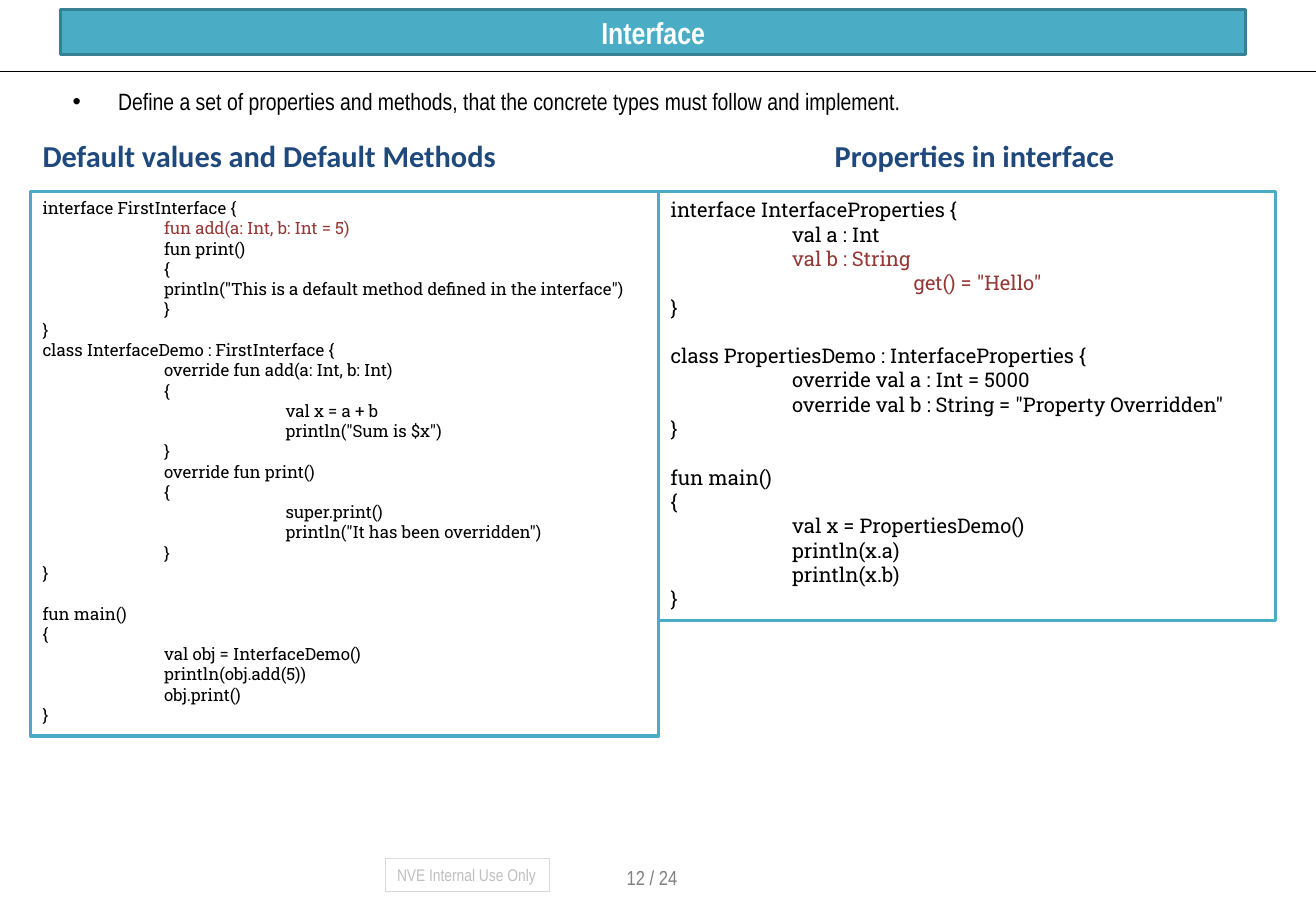
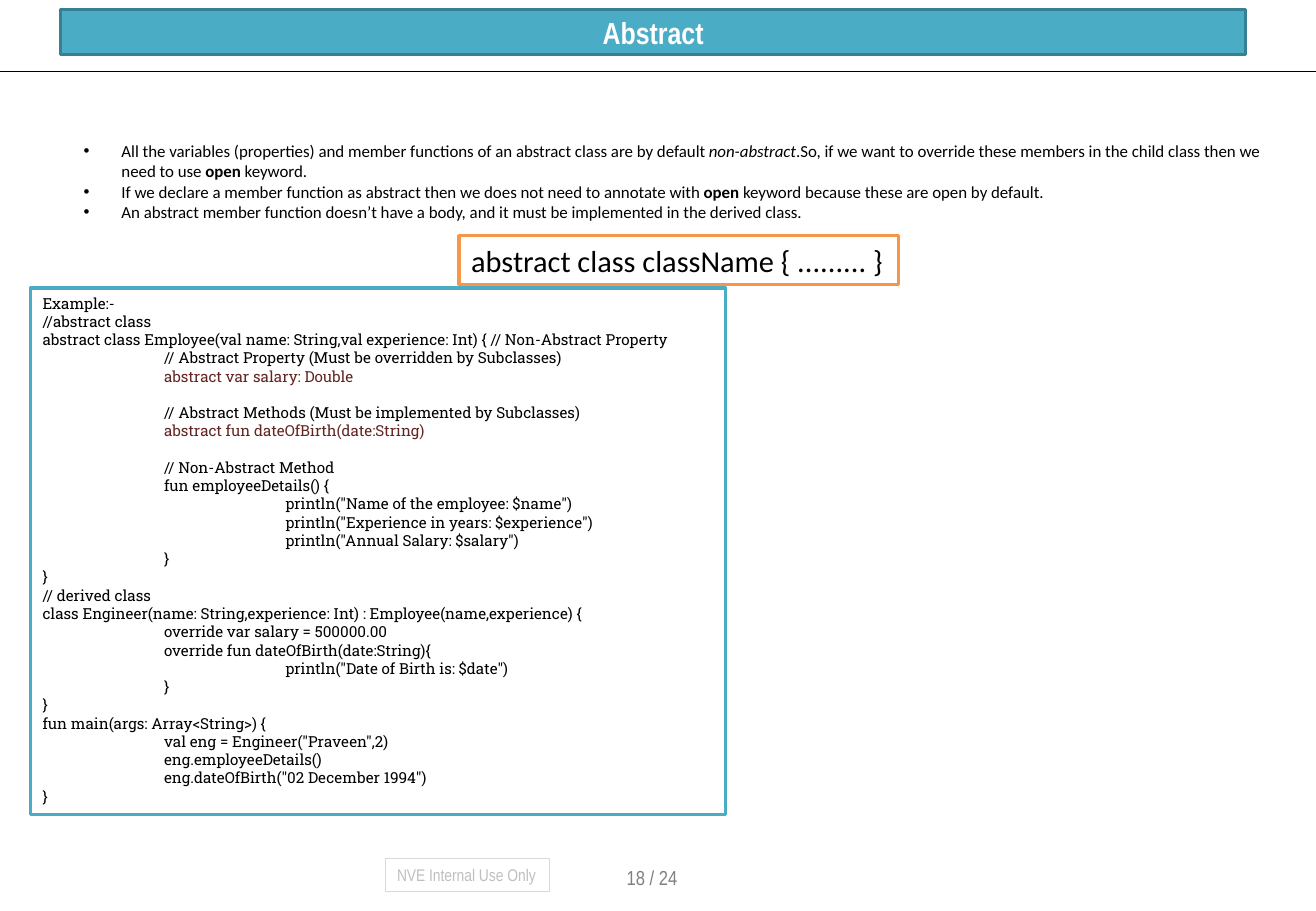
from dataclasses import dataclass

from lxml import etree
from pptx import Presentation
from pptx.dml.color import RGBColor
from pptx.enum.shapes import MSO_CONNECTOR as Connector, MSO_SHAPE as Shape
from pptx.enum.text import MSO_ANCHOR as Anchor, MSO_AUTO_SIZE as AutoSize, PP_ALIGN as Align
from pptx.oxml.ns import qn
from pptx.util import Cm, Pt


@dataclass(frozen=True)
class TextStyle:
    font: str
    size: float
    color: str
    bold: bool = False


@dataclass(frozen=True)
class Theme:
    white: str = "FFFFFF"
    black: str = "000000"
    teal: str = "4BACC6"
    dark_teal: str = "377F92"
    orange: str = "F79646"
    red: str = "953735"
    dark_red: str = "632523"
    pale_gray: str = "D9D9D9"
    code_font: str = "Roboto Slab"
    border: float = 2
    code_line_spacing: float = 1.2
    code_indent: float = 2.54
    title: TextStyle = TextStyle("Arial Narrow", 18, "FFFFFF", True)
    lead: TextStyle = TextStyle("Arial Narrow", 14, "000000")
    heading: TextStyle = TextStyle("Calibri", 18, "1F497D", True)
    syntax: TextStyle = TextStyle("Calibri", 18, "000000")
    note: TextStyle = TextStyle("Calibri", 10, "000000")
    label: TextStyle = TextStyle("Arial Narrow", 10, "BFBFBF")
    page: TextStyle = TextStyle("Arial Narrow", 12, "808080")


THEME = Theme()
SLIDE_WIDTH, SLIDE_HEIGHT = 27.51, 19.05
MARGIN = 0.64
PAGE_COUNT = 24

DEFAULTS_CODE = '''
interface FirstInterface {
    fun add(a: Int, b: Int = 5)
    fun print()
    {
    println("This is a default method defined in the interface")
    }
}
class InterfaceDemo : FirstInterface {
    override fun add(a: Int, b: Int)
    {
        val x = a + b
        println("Sum is $x")
    }
    override fun print()
    {
        super.print()
        println("It has been overridden")
    }
}

fun main()
{
    val obj = InterfaceDemo()
    println(obj.add(5))
    obj.print()
}
'''

PROPERTIES_CODE = '''
interface InterfaceProperties {
    val a : Int
    val b : String
        get() = "Hello"
}

class PropertiesDemo : InterfaceProperties {
    override val a : Int = 5000
    override val b : String = "Property Overridden"
}

fun main()
{
    val x = PropertiesDemo()
    println(x.a)
    println(x.b)
}
'''

EMPLOYEE_CODE = '''
Example:-
//abstract class
abstract class Employee(val name: String,val experience: Int) { // Non-Abstract Property
    // Abstract Property (Must be overridden by Subclasses)
    abstract var salary: Double

    // Abstract Methods (Must be implemented by Subclasses)
    abstract fun dateOfBirth(date:String)

    // Non-Abstract Method
    fun employeeDetails() {
        println("Name of the employee: $name")
        println("Experience in years: $experience")
        println("Annual Salary: $salary")
    }
}'''

ENGINEER_CODE = '''
// derived class
class Engineer(name: String,experience: Int) : Employee(name,experience) {
    override var salary = 500000.00
    override fun dateOfBirth(date:String){
        println("Date of Birth is: $date")
    }
}
fun main(args: Array<String>) {
    val eng = Engineer("Praveen",2)
    eng.employeeDetails()
    eng.dateOfBirth("02 December 1994")
}
'''

# Each bullet is a list of (text, emphasis) pieces.
INTERFACE_BULLETS = [
    [("Define a set of properties and methods, that the concrete types "
      "must follow and implement.", "")],
]
ABSTRACT_BULLETS = [
    [("All the variables (properties) and member functions of an abstract class "
      "are by default ", ""),
     ("non-abstract", "italic"),
     (".So, if we want to override these members in the child class then we need to use ", ""),
     ("open", "bold"),
     (" keyword.", "")],
    [("If we declare a member function as abstract then we does not need to annotate with ", ""),
     ("open", "bold"),
     (" keyword because these are open by default.", "")],
    [("An abstract member function doesn’t have a body, and it must be implemented "
      "in the derived class.", "")],
]


def rgb(color):
    return RGBColor.from_string(color)


def lengths(box):
    return [Cm(value) for value in box]


def style_runs(paragraph, style, color=None):
    for run in paragraph.runs:
        run.font.name = style.font
        run.font.size = Pt(style.size)
        run.font.bold = style.bold
        run.font.color.rgb = rgb(color or style.color)


def set_outline(shape, color, width=THEME.border):
    shape.line.color.rgb = rgb(color)
    shape.line.width = Pt(width)


def set_indent(paragraph, left, first=0):
    properties = paragraph._p.get_or_add_pPr()
    properties.set("marL", str(Cm(left)))
    properties.set("indent", str(Cm(first)))
    return properties


def add_text(slide, box, text, style):
    text_box = slide.shapes.add_textbox(*lengths(box))
    text_box.text_frame.text = text
    style_runs(text_box.text_frame.paragraphs[0], style)


def add_box(slide, box, outline, width=THEME.border, fill=THEME.white):
    """Add an outlined rectangle for top-left text; fill None leaves it open."""
    shape = slide.shapes.add_shape(Shape.RECTANGLE, *lengths(box))
    shape.shadow.inherit = False
    if fill:
        shape.fill.solid()
        shape.fill.fore_color.rgb = rgb(fill)
    else:
        shape.fill.background()
    set_outline(shape, outline, width)
    shape.text_frame.vertical_anchor = Anchor.TOP
    return shape


def add_label_box(slide, box, text, style, outline, **options):
    text_frame = add_box(slide, box, outline, **options).text_frame
    text_frame.word_wrap = False
    text_frame.text = text
    paragraph = text_frame.paragraphs[0]
    paragraph.alignment = Align.LEFT
    style_runs(paragraph, style)


def add_code(slide, box, code, size, highlights, highlight_color):
    """Add a code panel: leading spaces become indents, empty lines become spacing."""
    source = code.strip().split("\n")
    lines = [line for line in source if line]
    after_gap = [not previous
                 for previous, line in zip(["start"] + source, source) if line]
    style = TextStyle(THEME.code_font, size, THEME.black)
    text_frame = add_box(slide, box, THEME.teal).text_frame
    text_frame.word_wrap = True
    text_frame.text = "\n".join(line.strip() for line in lines)
    for paragraph, line, gap in zip(text_frame.paragraphs, lines, after_gap):
        level = (len(line) - len(line.lstrip())) // 4
        paragraph.alignment = Align.LEFT
        set_indent(paragraph, level * THEME.code_indent)
        if gap:
            paragraph.space_before = Pt(size * THEME.code_line_spacing)
        style_runs(paragraph, style, highlight_color if line.strip() in highlights else None)


def add_bullets(slide, box, bullets, style, hanging):
    text_frame = slide.shapes.add_textbox(*lengths(box)).text_frame
    text_frame.word_wrap = True
    for index, pieces in enumerate(bullets):
        paragraph = text_frame.add_paragraph() if index else text_frame.paragraphs[0]
        properties = set_indent(paragraph, hanging, -hanging)
        etree.SubElement(properties, qn("a:buFont"), typeface="Arial")
        etree.SubElement(properties, qn("a:buChar"), char="•")
        for text, _ in pieces:
            paragraph.add_run().text = text
        style_runs(paragraph, style)
        for run, (_, emphasis) in zip(paragraph.runs, pieces):
            run.font.bold = emphasis == "bold"
            run.font.italic = emphasis == "italic"


def add_rule(slide, y):
    rule = slide.shapes.add_connector(
        Connector.STRAIGHT, Cm(0), Cm(y), Cm(SLIDE_WIDTH), Cm(y))
    set_outline(rule, THEME.black, 0.75)
    etree.SubElement(rule._element.spPr, qn("a:effectLst"))


def format_title(title, text):
    title.left, title.top, title.width, title.height = lengths((1.27, 0.2, 24.77, 0.94))
    title.fill.solid()
    title.fill.fore_color.rgb = rgb(THEME.teal)
    set_outline(title, THEME.dark_teal)
    text_frame = title.text_frame
    text_frame.text = text
    text_frame.word_wrap = True
    text_frame.auto_size = AutoSize.NONE
    text_frame.vertical_anchor = Anchor.MIDDLE
    text_frame.paragraphs[0].alignment = Align.CENTER
    style_runs(text_frame.paragraphs[0], THEME.title)


def add_slide(presentation, title, page):
    """Add a slide with the title band, rule and footer that all slides share."""
    slide = presentation.slides.add_slide(presentation.slide_layouts[5])
    format_title(slide.shapes.title, title)
    add_rule(slide, 1.5)
    add_label_box(slide, (8.05, 17.96, 3.43, 0.69), "NVE Internal Use Only",
                  THEME.label, THEME.pale_gray, width=0.5, fill=None)
    add_text(slide, (12.85, 17.98, 1.73, 0.76), f"{page} / {PAGE_COUNT}", THEME.page)
    return slide


def add_interface_slide(presentation):
    slide = add_slide(presentation, "Interface", 12)
    add_bullets(slide, (1.27, 1.7, 24.77, 0.84), INTERFACE_BULLETS, THEME.lead, 0.95)
    panel_top, left_width = 4.01, 13.13
    add_code(slide, (MARGIN, panel_top, left_width, 11.38), DEFAULTS_CODE, 10,
             ["fun add(a: Int, b: Int = 5)"], THEME.red)
    add_code(slide, (MARGIN + left_width, panel_top, 12.9, 8.97), PROPERTIES_CODE, 12,
             ["val b : String", 'get() = "Hello"'], THEME.red)
    heading_top, heading_height = 2.74, 1.02
    add_text(slide, (MARGIN, heading_top, 10.08, heading_height),
             "Default values and Default Methods", THEME.heading)
    add_text(slide, (17.2, heading_top, 6.55, heading_height),
             "Properties in interface", THEME.heading)


def add_abstract_slide(presentation):
    slide = add_slide(presentation, "Abstract", 18)
    add_label_box(slide, (9.6, 4.93, 9.19, 1.02), "abstract class className { ......... }",
                  THEME.syntax, THEME.orange)
    add_code(slide, (MARGIN, 6.02, 14.53, 11.02), EMPLOYEE_CODE + ENGINEER_CODE, 9,
             ["abstract var salary: Double", "abstract fun dateOfBirth(date:String)"],
             THEME.dark_red)
    add_bullets(slide, (1.5, 2.82, 25.37, 1.96), ABSTRACT_BULLETS, THEME.note, 0.79)


def main():
    presentation = Presentation()
    presentation.slide_width, presentation.slide_height = Cm(SLIDE_WIDTH), Cm(SLIDE_HEIGHT)
    add_interface_slide(presentation)
    add_abstract_slide(presentation)
    presentation.save("out.pptx")


if __name__ == "__main__":
    main()
